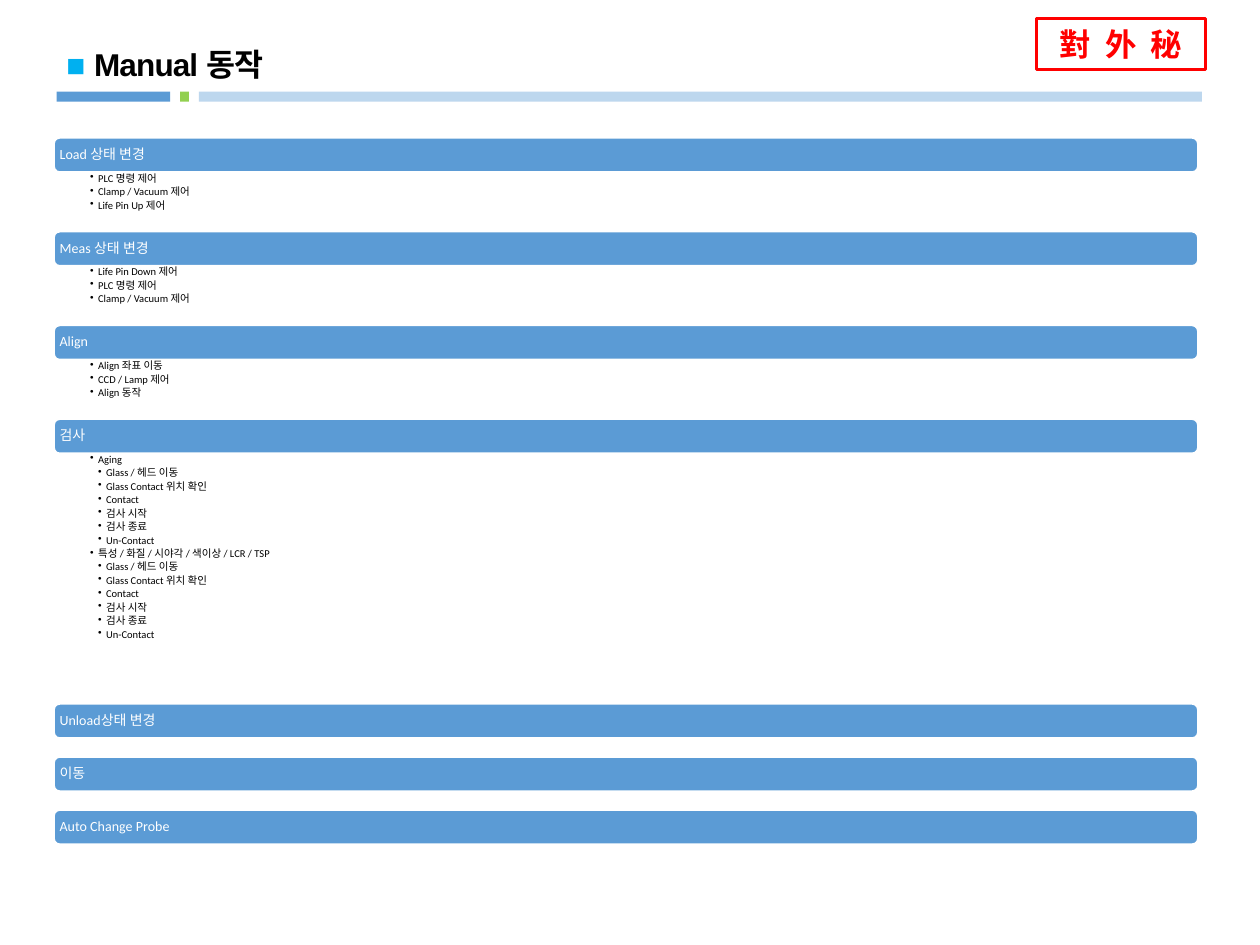
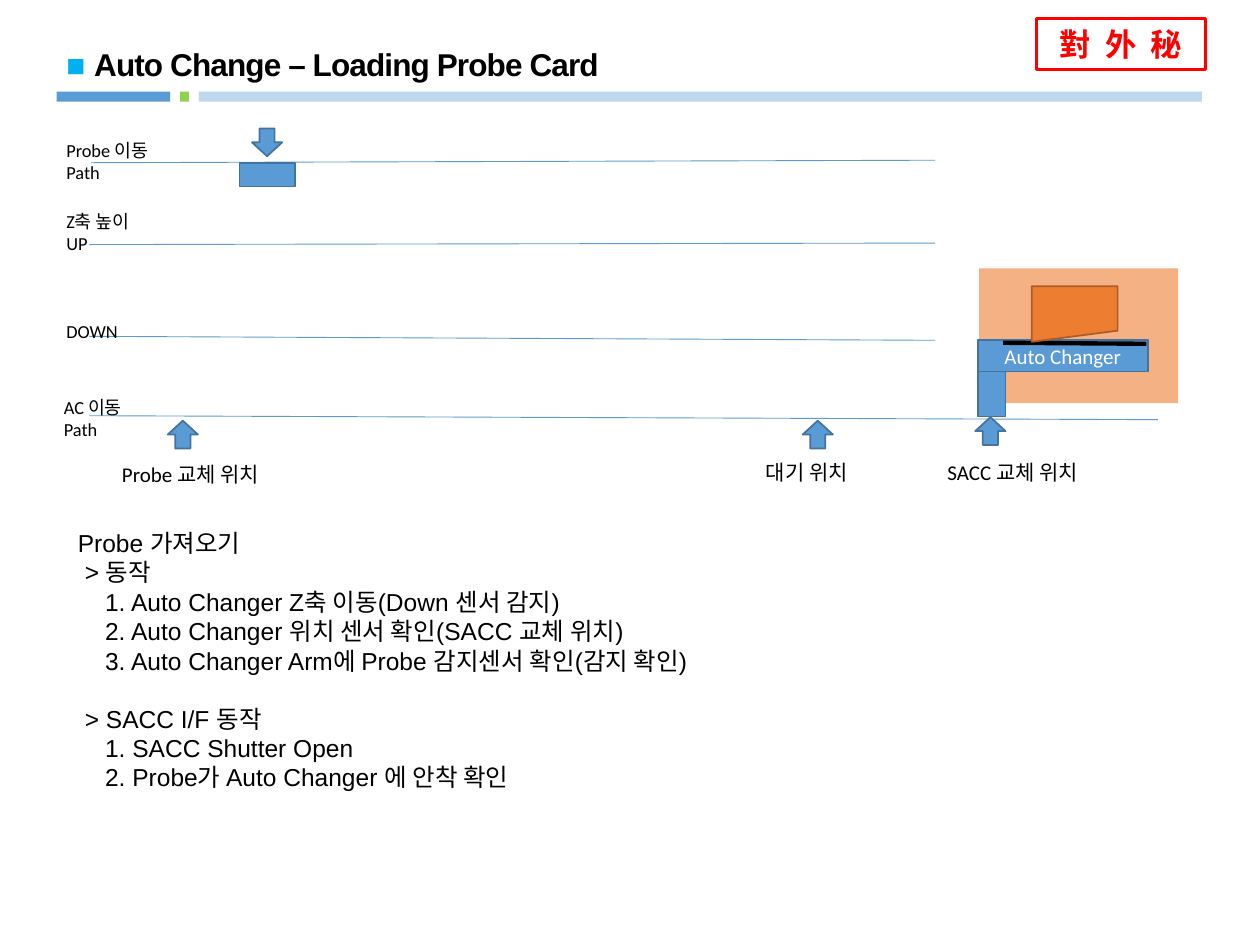
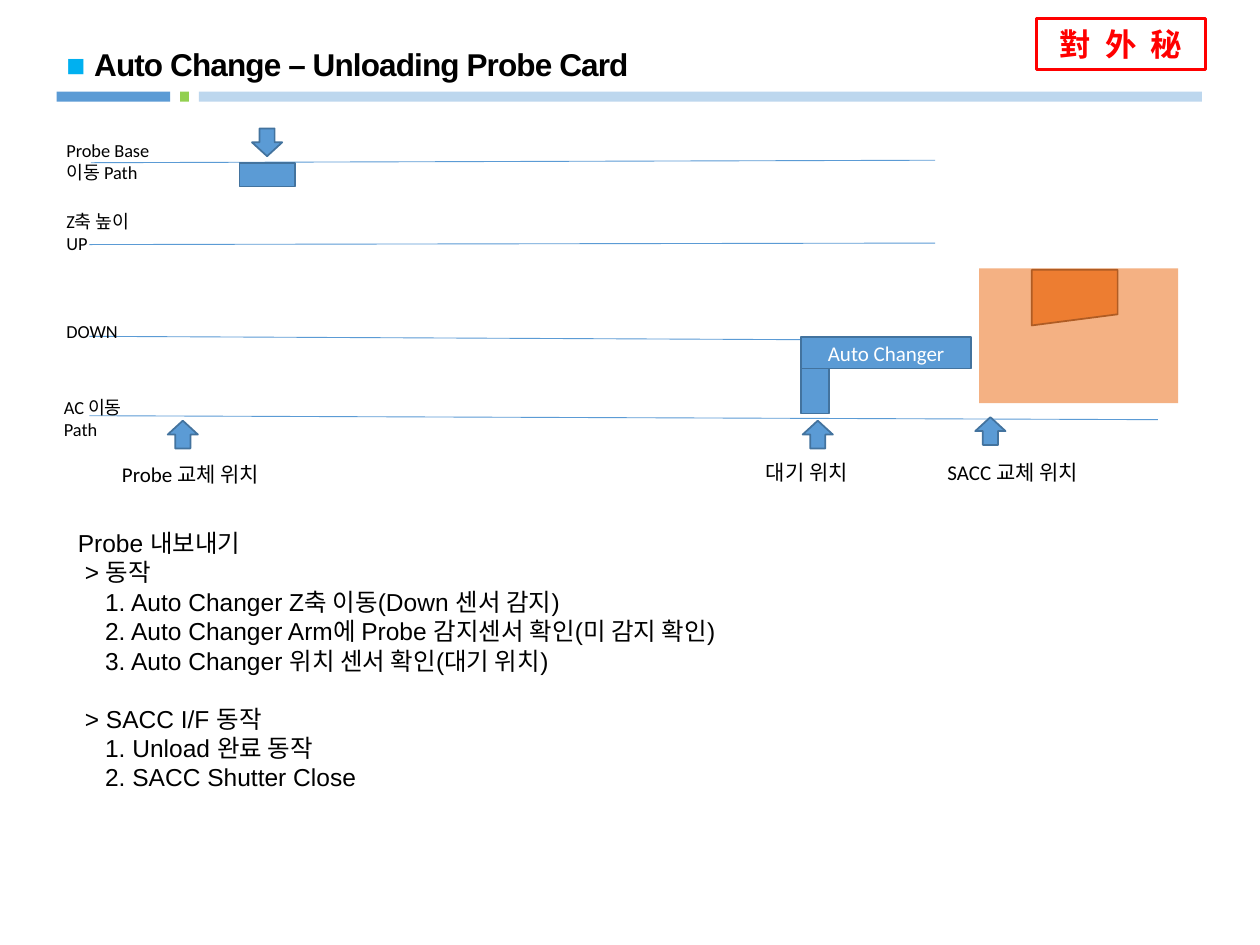
"""Build three slides on manual operation and automatic probe card changing."""
from lxml import etree
from pptx import Presentation
from pptx.dml.color import RGBColor
from pptx.enum.shapes import MSO_CONNECTOR, MSO_SHAPE
from pptx.enum.text import MSO_ANCHOR, PP_ALIGN
from pptx.oxml.ns import qn
from pptx.util import Cm, Pt

RECT = MSO_SHAPE.RECTANGLE
ROUNDED = MSO_SHAPE.ROUNDED_RECTANGLE
ARROW = MSO_SHAPE.DOWN_ARROW
MANUAL_INPUT = MSO_SHAPE.FLOWCHART_MANUAL_INPUT
STRAIGHT = MSO_CONNECTOR.STRAIGHT
TOP, MIDDLE = MSO_ANCHOR.TOP, MSO_ANCHOR.MIDDLE
LEFT, CENTER = PP_ALIGN.LEFT, PP_ALIGN.CENTER

BLUE, BLUE_EDGE, PALE_BLUE = "5B9BD5", "43739E", "BDD7EE"
GREEN, CYAN, RED = "92D050", "00B0F0", "FF0000"
ORANGE, ORANGE_EDGE, PALE_ORANGE = "ED7D31", "AF5C24", "F4B183"
BLACK, WHITE = "000000", "FFFFFF"
BODY_FONT, HEAD_FONT, STAMP_FONT = "Calibri", "Arial", "Noto Sans CJK KR"

STAMP = "對 外 秘"
HEADER_BANDS = [(4.01, 20.22, PALE_BLUE), (1.14, 2.29, BLUE), (3.63, 0.18, GREEN)]

CONTACT_STEPS = [(1, step) for step in (
    "Glass / 헤드 이동", "Glass Contact 위치 확인", "Contact",
    "검사 시작", "검사 종료", "Un-Contact")]
SECTIONS = [
    ("Load 상태 변경", [(0, "PLC 명령 제어"), (0, "Clamp / Vacuum 제어"), (0, "Life Pin Up 제어")]),
    ("Meas 상태 변경", [(0, "Life Pin Down 제어"), (0, "PLC 명령 제어"), (0, "Clamp / Vacuum 제어")]),
    ("Align", [(0, "Align 좌표 이동"), (0, "CCD / Lamp 제어"), (0, "Align 동작")]),
    ("검사", [(0, "Aging"), *CONTACT_STEPS,
            (0, "특성 / 화질 / 시야각 / 색이상 / LCR / TSP"), *CONTACT_STEPS]),
    ("Unload상태 변경", []),
    ("이동", []),
    ("Auto Change Probe", []),
]

PATH_LINES = [(1.8, 6.78, 18.85, 6.86), (1.8, 4.93, 18.85, 4.9),
              (1.8, 8.38, 23.34, 8.46), (1.83, 3.28, 18.85, 3.23)]
POSITION_ARROWS = [(5.08, 2.59, 0), (3.38, 8.48, 180), (16.18, 8.48, 180), (19.66, 8.41, 180)]
POSITION_LABELS = [("대기 위치", 15.19, 9.14, 2.57), ("SACC 교체 위치", 18.85, 9.14, 3.38),
                   ("Probe 교체 위치", 2.21, 9.17, 3.53)]
HEIGHT_LABELS = [("Z축 높이", 0), ("UP", 0), ("DOWN", 37.5)]

CHANGES = [
    {
        "title": "Auto Change – Loading Probe Card",
        "path_label": "Probe 이동 Path",
        "changer": (19.71, 6.86),
        "card_top": 5.77,
        "card_line": (20.22, 6.91, 23.11, 6.93),
        "task": "Probe 가져오기",
        "steps": [
            ("동작", ["Auto Changer Z축 이동(Down 센서 감지)",
                    "Auto Changer 위치 센서 확인(SACC 교체 위치)",
                    "Auto Changer Arm에 Probe 감지센서 확인(감지 확인)"]),
            ("SACC I/F 동작", ["SACC Shutter Open", "Probe가 Auto Changer 에 안착 확인"]),
        ],
    },
    {
        "title": "Auto Change – Unloading Probe Card",
        "path_label": "Probe Base 이동 Path",
        "changer": (16.15, 6.8),
        "card_top": 5.44,
        "card_line": None,
        "task": "Probe 내보내기",
        "steps": [
            ("동작", ["Auto Changer Z축 이동(Down 센서 감지)",
                    "Auto Changer Arm에 Probe 감지센서 확인(미 감지 확인)",
                    "Auto Changer 위치 센서 확인(대기 위치)"]),
            ("SACC I/F 동작", ["Unload 완료 동작", "SACC Shutter Close"]),
        ],
    },
]


def rgb(color):
    return RGBColor.from_string(color)


def style_run(run, size, color, font=BODY_FONT, bold=False, spacing=0):
    run.font.size, run.font.name, run.font.bold = Pt(size), font, bold
    run.font.color.rgb = rgb(color)
    if spacing:
        run._r.get_or_add_rPr().set("spc", str(spacing))


def add_block(slide, kind, box, fill=None, edge=None, weight=1, rotation=0):
    block = slide.shapes.add_shape(kind, *map(Cm, box))
    block.shadow.inherit = False
    block.rotation = rotation
    if fill:
        block.fill.solid()
        block.fill.fore_color.rgb = rgb(fill)
    else:
        block.fill.background()
    if edge:
        block.line.color.rgb = rgb(edge)
        block.line.width = Pt(weight)
    else:
        block.line.fill.background()
    return block


def add_line(slide, ends, color, weight):
    line = slide.shapes.add_connector(STRAIGHT, *map(Cm, ends))
    line.line.color.rgb = rgb(color)
    line.line.width = Pt(weight)
    etree.SubElement(line._element.spPr, qn("a:effectLst"))


def write(shape, text, size, color, align=LEFT, **style):
    frame = shape.text_frame
    frame.text = text
    frame.word_wrap = True
    frame.vertical_anchor = MIDDLE
    paragraph = frame.paragraphs[0]
    paragraph.alignment = align
    style_run(paragraph.runs[0], size, color, **style)
    return paragraph


def add_lines(slide, box, lines, size, font=BODY_FONT):
    """Add a text box of (text, space before in points, left margin in cm) lines."""
    frame = slide.shapes.add_textbox(*map(Cm, box)).text_frame
    frame.word_wrap = True
    frame.vertical_anchor = TOP
    for index, (text, before, margin) in enumerate(lines):
        paragraph = frame.add_paragraph() if index else frame.paragraphs[0]
        paragraph.text = text
        if before:
            paragraph.space_before = Pt(before)
        if margin:
            paragraph._p.get_or_add_pPr().set("marL", str(Cm(margin)))
        style_run(paragraph.runs[0], size, BLACK, font)
    return frame


def add_framed_slide(deck, title):
    slide = deck.slides.add_slide(deck.slide_layouts[6])
    for left, width, color in HEADER_BANDS:
        add_block(slide, RECT, (left, 1.85, width, 0.2), color)
    stamp = add_block(slide, RECT, (20.9, 0.38, 3.4, 1.02), edge=RED, weight=1.5)
    mark = write(stamp, STAMP, 18, RED, CENTER, font=STAMP_FONT, bold=True, spacing=200)
    east_asian = etree.SubElement(mark.runs[0]._r.get_or_add_rPr(), qn("a:ea"))
    east_asian.set("typeface", STAMP_FONT)
    frame = add_lines(slide, (1.09, 0.71, 18.2, 1.09), [("■ ", 0, 0)], 18, HEAD_FONT)
    heading = frame.paragraphs[0]
    heading.line_spacing = 1.1
    style_run(heading.runs[0], 18, CYAN, HEAD_FONT, True)
    name = heading.add_run()
    name.text = title
    style_run(name, 18, BLACK, HEAD_FONT, True, -50)
    return slide


def add_bullets(slide, box, items):
    frame = add_lines(slide, box, [(text, 0, 0.16 * (level + 1)) for level, text in items], 6)
    frame.margin_left, frame.margin_right = Cm(0.73), Cm(0.15)
    frame.margin_top = frame.margin_bottom = Cm(0.02)
    for paragraph, (level, _) in zip(frame.paragraphs, items):
        properties = paragraph._p.get_or_add_pPr()
        properties.set("indent", str(-Cm(0.16)))
        etree.SubElement(properties, qn("a:buChar")).set("char", "•")
        paragraph.level = level + 1
        paragraph.line_spacing = 0.9
        paragraph.space_after = Pt(1.2)


def build_manual(deck):
    slide = add_framed_slide(deck, "Manual 동작")
    left, top, width, bar_height = 1.09, 2.78, 23.06, 0.69
    for name, items in SECTIONS:
        bar = add_block(slide, ROUNDED, (left, top, width, bar_height), BLUE, WHITE)
        frame = bar.text_frame
        frame.margin_left = frame.margin_right = Cm(0.08)
        frame.margin_top = frame.margin_bottom = Cm(0.08)
        write(bar, name, 8, WHITE).line_spacing = 0.9
        top += bar_height
        gap = 0.15 + 0.35 * len(items) if items else 0.38
        if items:
            add_bullets(slide, (left, top, width, gap), items)
        top += gap


def build_change(deck, change):
    slide = add_framed_slide(deck, change["title"])
    add_block(slide, RECT, (19.74, 5.41, 4.01, 2.72), PALE_ORANGE)
    for ends in PATH_LINES:
        add_line(slide, ends, BLUE, 0.5)
    add_lines(slide, (1.09, 4.11, 2.11, 2.95),
              [(text, before, 0) for text, before in HEIGHT_LABELS], 10.5)
    add_lines(slide, (1.09, 2.69, 2.36, 1.14), [(change["path_label"], 0, 0)], 10.5)
    add_lines(slide, (1.04, 7.87, 2.36, 1.14), [("AC 이동 Path", 0, 0)], 10.5)

    add_block(slide, RECT, (4.83, 3.28, 1.12, 0.48), BLUE, BLUE_EDGE)
    left, top = change["changer"]
    arm = add_block(slide, RECT, (left, top, 3.43, 0.63), BLUE, BLUE_EDGE)
    write(arm, "Auto Changer", 12, WHITE, CENTER)
    add_block(slide, RECT, (left, top + 0.63, 0.56, 0.91), BLUE, BLUE_EDGE)
    for left, top, rotation in POSITION_ARROWS:
        add_block(slide, ARROW, (left, top, 0.61, 0.56), BLUE, BLUE_EDGE, rotation=rotation)
    if change["card_line"]:
        add_line(slide, change["card_line"], BLACK, 2.5)
    add_block(slide, MANUAL_INPUT, (20.8, change["card_top"], 1.73, 1.12),
              ORANGE, ORANGE_EDGE, rotation=180)
    for text, left, top, width in POSITION_LABELS:
        add_lines(slide, (left, top, width, 0.76), [(text, 0, 0)], 12)

    lines = [(change["task"], 0, 0)]
    for index, (group, steps) in enumerate(change["steps"]):
        lines.append((f"> {group}", 16.3 * index, 0.14))
        lines += [(f"{number}. {step}", 0, 0.55) for number, step in enumerate(steps, 1)]
    add_lines(slide, (1.32, 10.52, 22.89, 5.64), lines, 14, HEAD_FONT)


def main():
    deck = Presentation()
    deck.slide_width, deck.slide_height = Cm(25.4), Cm(19.05)
    build_manual(deck)
    for change in CHANGES:
        build_change(deck, change)
    deck.save("out.pptx")


if __name__ == "__main__":
    main()
